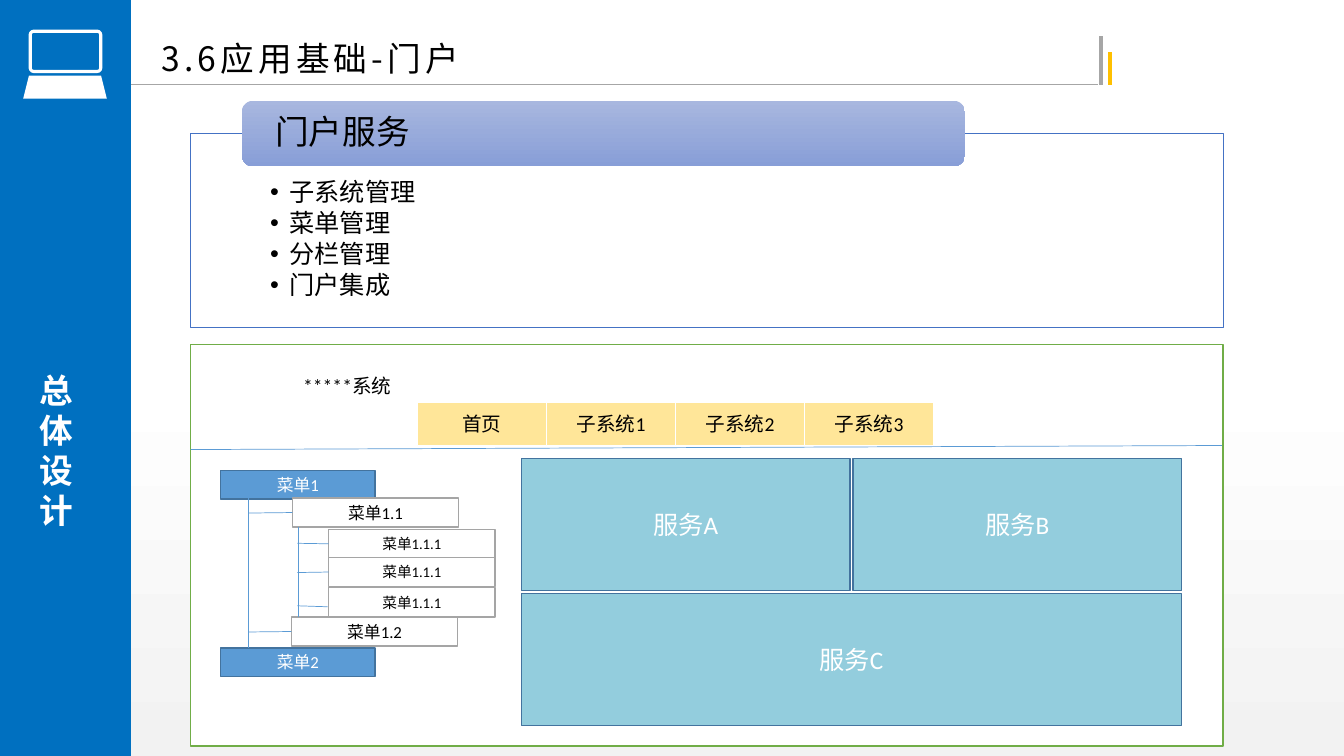
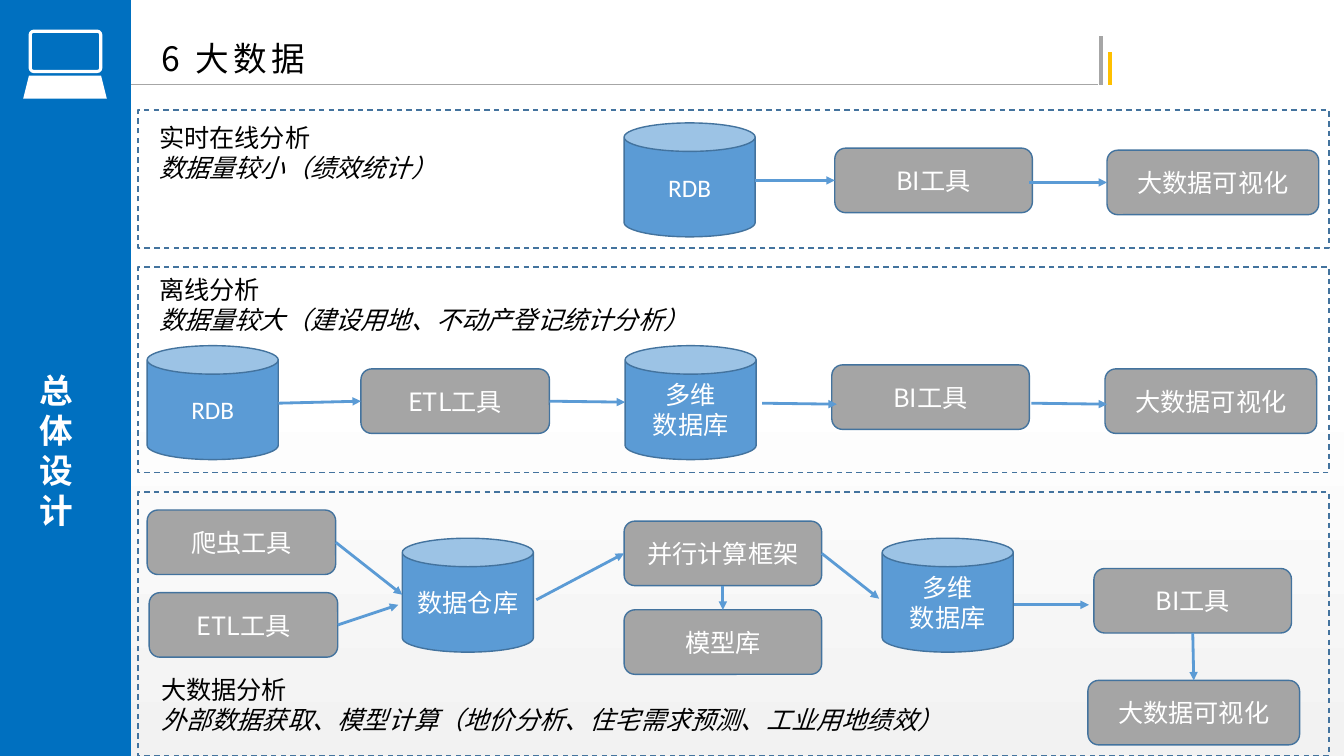
from lxml.etree import SubElement
from pptx import Presentation
from pptx.dml.color import RGBColor
from pptx.enum.dml import MSO_LINE as Dash
from pptx.enum.shapes import MSO_CONNECTOR as Wire, MSO_SHAPE as Kind
from pptx.enum.text import MSO_ANCHOR as Anchor, MSO_AUTO_SIZE as Fit, PP_ALIGN as Align
from pptx.oxml.ns import qn
from pptx.util import Pt

PX = 9144
CJK = "Noto Sans CJK SC"
LATIN = "Calibri"
WHITE, BLACK = "FFFFFF", "000000"
SIDEBAR, ACCENT, EDGE, GRAY = "0070C0", "5B9BD5", "43739E", "A5A5A5"
RULE, GOLD, GREEN, ROYAL = "A6A6A6", "FFC000", "70AD47", "4472C4"
TAB, SERVICE = "FFE699", "93CDDD"
rgb = RGBColor.from_string


def write(box, text="", fill=None, line=None, weight=1, dash=None, size=18, color=WHITE,
          font=CJK, bold=False, italic_from=None, align=Align.CENTER, anchor=Anchor.MIDDLE,
          insets=(10, 5, 10, 5), wrap=True, spacing=1.0, after=0, bullet=False, tracking=0):
    box.shadow.inherit = False
    if isinstance(fill, tuple):
        box.fill.gradient()
        box.fill.gradient_angle = 270
        for stop, shade in zip(box.fill.gradient_stops, fill):
            stop.color.rgb = rgb(shade)
    elif fill:
        box.fill.solid()
        box.fill.fore_color.rgb = rgb(fill)
    else:
        box.fill.background()
    if line:
        box.line.color.rgb = rgb(line)
        box.line.width = Pt(weight)
        box.line.dash_style = dash
    else:
        box.line.fill.background()
    if not text:
        return box
    frame = box.text_frame
    frame.word_wrap = wrap
    frame.auto_size = Fit.NONE
    frame.vertical_anchor = anchor
    frame.margin_left, frame.margin_top, frame.margin_right, frame.margin_bottom = (
        PX * inset for inset in insets)
    for index, words in enumerate(text.split("\n")):
        para = frame.add_paragraph() if index else frame.paragraphs[0]
        if bullet:
            properties = para._p.get_or_add_pPr()
            properties.set("marL", str(19 * PX))
            properties.set("indent", str(-19 * PX))
            SubElement(properties, qn("a:buChar")).set("char", "•")
        para.alignment = align
        para.line_spacing = spacing
        para.space_before = Pt(0)
        para.space_after = Pt(after)
        span = para.add_run()
        span.text = words
        span.font.size = Pt(size)
        span.font.bold = bold
        span.font.italic = italic_from is not None and index >= italic_from
        span.font.color.rgb = rgb(color)
        span.font.name = font
        run_format = span._r.get_or_add_rPr()
        SubElement(run_format, qn("a:ea")).set("typeface", CJK)
        if tracking:
            run_format.set("spc", str(tracking * 100))
    return box


def link(page, start, end, color=ACCENT, weight=0.5, arrow=False):
    points = [(0, 0) if not isinstance(point[0], int) else point for point in (start, end)]
    wire = page.shapes.add_connector(
        Wire.STRAIGHT, *(PX * value for point in points for value in point))
    if not isinstance(start[0], int):
        wire.begin_connect(*start)
    if not isinstance(end[0], int):
        wire.end_connect(*end)
    wire.line.color.rgb = rgb(color)
    wire.line.width = Pt(weight)
    if arrow:
        SubElement(wire.element.spPr.find(qn("a:ln")), qn("a:tailEnd")).set("type", "triangle")
    SubElement(wire.element.spPr, qn("a:effectLst"))
    return wire


deck = Presentation()
deck.slide_width, deck.slide_height = 1333 * PX, 750 * PX
master = deck.slide_master
backdrop = master.background.fill
backdrop.gradient()
backdrop.gradient_angle = 270
for stop, shade, position in zip(backdrop.gradient_stops, (WHITE, "F2F2F2"), (0.5, 1.0)):
    stop.color.rgb = rgb(shade)
    stop.position = position
heading = master.placeholders[0]
heading.left, heading.top, heading.width, heading.height = (
    PX * value for value in (150, 28, 682, 55))

portal = deck.slides.add_slide(deck.slide_layouts[1])
big_data = deck.slides.add_slide(deck.slide_layouts[5])
for page, title in ((portal, "3.6应用基础-门户"), (big_data, "6 大数据")):
    write(page.shapes.title, title, size=24, color=BLACK, align=Align.LEFT,
          anchor=Anchor.BOTTOM, spacing=0.9, tracking=3)

shared = [
    link(portal, (0, 84), (1089, 84), RULE),
    link(portal, (1092, 84), (1092, 36), RULE, 3),
    link(portal, (1101, 84), (1101, 52), GOLD, 3),
]
for kind, place, fill, line in (
    (Kind.RECTANGLE, (0, 0, 130, 750), SIDEBAR, None),
    (Kind.ROUNDED_RECTANGLE, (30, 31, 70, 40), SIDEBAR, WHITE),
    (Kind.TRAPEZOID, (23, 75, 83, 23), WHITE, None),
):
    box = portal.shapes.add_shape(kind, *(PX * value for value in place))
    if kind == Kind.ROUNDED_RECTANGLE:
        box.adjustments[0] = 0.09
    shared.append(write(box, fill=fill, line=line, weight=2.25))
chapter = portal.shapes.add_textbox(*(PX * value for value in (29, 143, 72, 607)))
write(chapter, "总体设计", size=24, bold=True, align=Align.LEFT)
chapter.text_frame._txBody.bodyPr.set("vert", "wordArtVertRtl")
shared.append(chapter)
for number, part in enumerate(shared, 20):
    part.element.xpath(".//p:cNvPr")[0].set("id", str(number))
    master.shapes.element.append(part.element)

features = portal.placeholders[1]
features.left, features.top, features.width, features.height = (
    PX * value for value in (189, 132, 1024, 193))
write(features, "子系统管理\n菜单管理\n分栏管理\n门户集成", fill=WHITE, line=ROYAL, weight=0.5,
      color=BLACK, align=Align.LEFT, anchor=Anchor.TOP, insets=(79, 46, 79, 14),
      spacing=0.9, after=2.7, bullet=True)
banner = portal.shapes.add_shape(
    Kind.ROUNDED_RECTANGLE, *(PX * value for value in (240, 100, 717, 65)))
write(banner, "门户服务", fill=("A8B7DF", "889ED7"), size=24, color=BLACK,
      align=Align.LEFT, insets=(30, 0, 30, 0), spacing=0.9)

window = portal.shapes.add_shape(Kind.RECTANGLE, *(PX * value for value in (189, 342, 1024, 398)))
write(window, fill=WHITE, line=GREEN)
link(portal, (189, 446), (1212, 442))
tabs = [(name, (414 + 128 * column, 399, 128, 43), TAB, WHITE, 14, BLACK)
        for column, name in enumerate(("首页", "子系统1", "子系统2", "子系统3"))]
menus = [(name, (left, top, 165, 29), WHITE, GRAY, size, BLACK) for name, left, top, size in (
    ("菜单1.1", 290, 494, 12), ("菜单1.2", 289, 612, 12),
    ("菜单1.1.1", 326, 525, 10.5), ("菜单1.1.1", 326, 553, 10.5), ("菜单1.1.1", 326, 583, 10.5))]
blocks = [
    ("*****系统", (216, 361, 257, 43), WHITE, WHITE, 14, BLACK),
    *tabs,
    ("菜单1", (219, 467, 153, 28), ACCENT, EDGE, 12, WHITE),
    ("菜单2", (219, 643, 153, 28), ACCENT, EDGE, 12, WHITE),
    ("服务A", (517, 455, 326, 131), SERVICE, EDGE, 18, WHITE),
    ("服务B", (846, 455, 326, 131), SERVICE, EDGE, 18, WHITE),
    ("服务C", (517, 589, 655, 131), SERVICE, EDGE, 18, WHITE),
    *menus,
]
drawn = []
for name, place, fill, line, size, color in blocks:
    box = portal.shapes.add_shape(Kind.RECTANGLE, *(PX * value for value in place))
    drawn.append(write(box, name, fill=fill, line=line, size=size, color=color, font=LATIN))
first, second, leaf_one, leaf_two, leaf_three = drawn[-len(menus):]
for start, end in (
    ((246, 494), (246, 643)),
    ((296, 523), (296, 612)),
    ((first, 1), (246, 509)),
    ((second, 1), (246, 627)),
    ((295, 539), (leaf_one, 1)),
    ((295, 568), (leaf_two, 1)),
    ((295, 601), (325, 602)),
):
    link(portal, start, end)

for top, height, left, text_top, width, words in (
    (109, 137, 148, 116, 298, "实时在线分析\n数据量较小（绩效统计）"),
    (265, 204, 148, 267, 550, "离线分析\n数据量较大（建设用地、不动产登记统计分析）"),
    (488, 262, 150, 664, 828, "大数据分析\n外部数据获取、模型计算（地价分析、住宅需求预测、工业用地绩效）"),
):
    lane = big_data.shapes.add_shape(
        Kind.RECTANGLE, *(PX * value for value in (137, top, 1181, height)))
    write(lane, line=EDGE, dash=Dash.DASH)
    label = big_data.shapes.add_textbox(*(PX * value for value in (left, text_top, width, 71)))
    write(label, words, color=BLACK, italic_from=1, align=Align.LEFT,
          anchor=Anchor.TOP, wrap=False)

for name, left, top in (
    ("RDB", 619, 122), ("RDB", 146, 343), ("多维\n数据库", 620, 343),
    ("数据仓库", 399, 534), ("多维\n数据库", 875, 534),
):
    store = big_data.shapes.add_shape(Kind.CAN, *(PX * value for value in (left, top, 130, 113)))
    write(store, name, fill=ACCENT, line=EDGE, font=LATIN)

tools = {}
for key, name, left, top, width in (
    ("live_bi", "BI工具", 828, 147, 196),
    ("live_view", "大数据可视化", 1098, 149, 210),
    ("offline_etl", "ETL工具", 358, 366, 187),
    ("offline_bi", "BI工具", 825, 362, 196),
    ("offline_view", "大数据可视化", 1096, 366, 210),
    ("crawler", "爬虫工具", 146, 506, 187),
    ("etl", "ETL工具", 148, 588, 187),
    ("framework", "并行计算框架", 619, 517, 196),
    ("models", "模型库", 619, 605, 196),
    ("bi", "BI工具", 1085, 564, 196),
    ("view", "大数据可视化", 1079, 675, 210),
):
    box = big_data.shapes.add_shape(
        Kind.ROUNDED_RECTANGLE, *(PX * value for value in (left, top, width, 64)))
    tools[key] = write(box, name, fill=GRAY, line=EDGE)

for start, end in (
    ((749, 179), (tools["live_bi"], 1)),
    ((1021, 181), (tools["live_view"], 1)),
    ((276, 400), (tools["offline_etl"], 1)),
    ((tools["offline_etl"], 3), (620, 399)),
    ((756, 400), (830, 401)),
    ((1023, 400), (1098, 401)),
    ((tools["crawler"], 3), (399, 590)),
    ((tools["etl"], 3), (395, 600)),
    ((532, 595), (tools["framework"], 1)),
    ((tools["framework"], 2), (tools["models"], 0)),
    ((tools["framework"], 3), (872, 594)),
    ((1006, 600), (1080, 600)),
    ((tools["bi"], 2), (tools["view"], 0)),
):
    link(big_data, start, end, weight=2, arrow=True)

deck.save("out.pptx")
